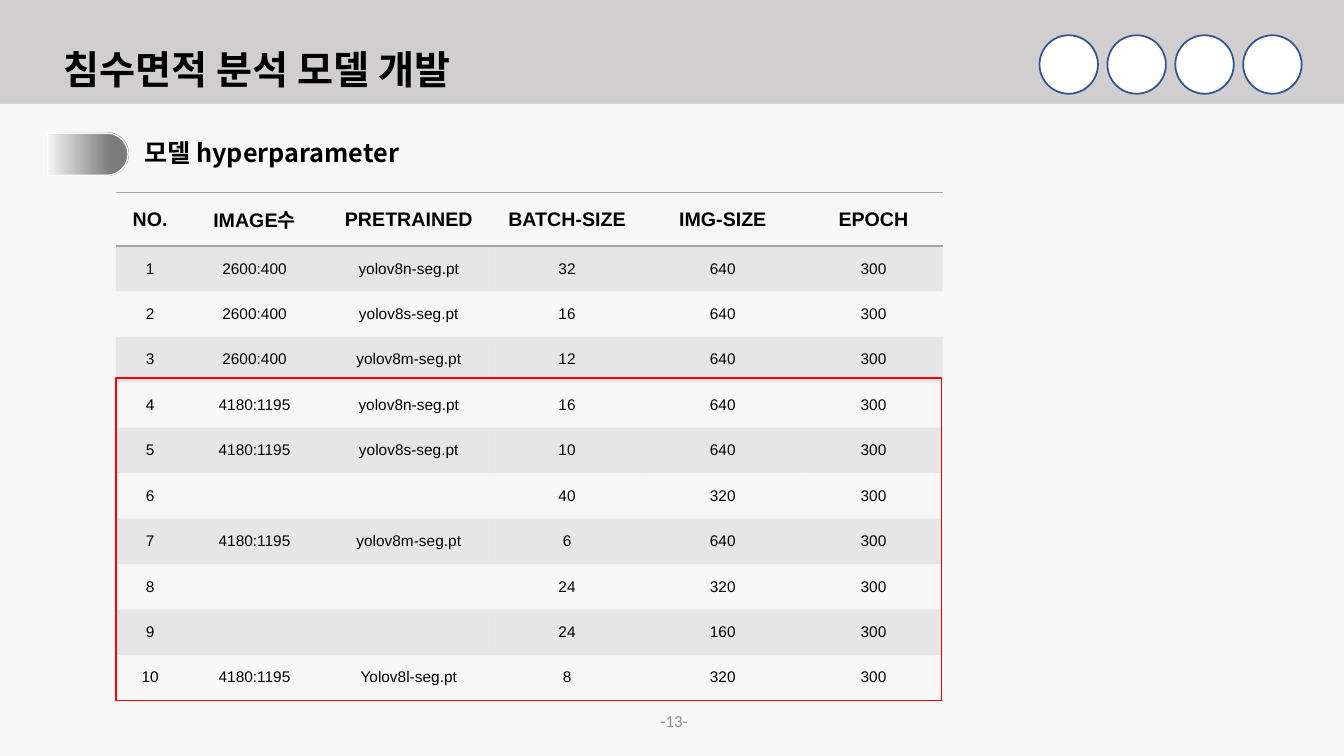
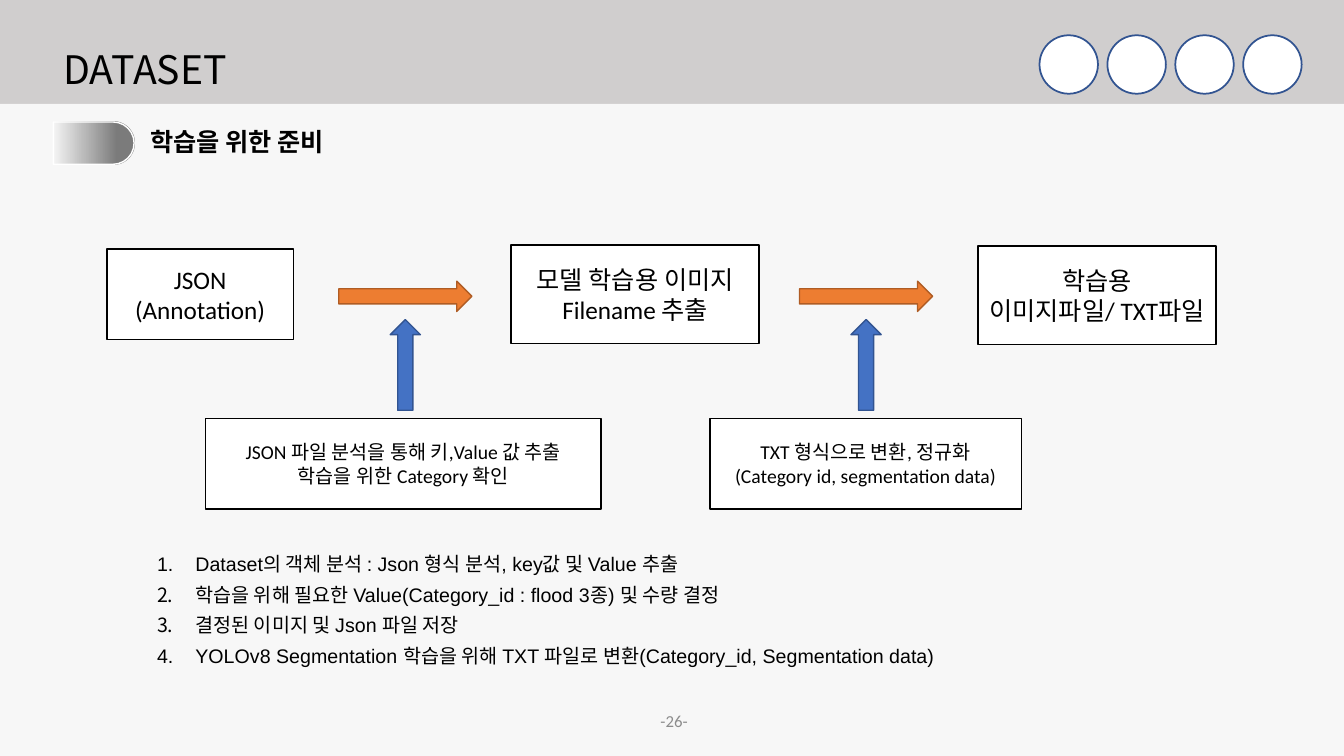
from lxml import etree
from pptx import Presentation
from pptx.dml.color import RGBColor
from pptx.enum import shapes, text
from pptx.oxml.ns import qn
from pptx.util import Inches, Pt

BAND_GREY = RGBColor(0xD0, 0xCE, 0xCE)
WHITE = RGBColor(0xFF, 0xFF, 0xFF)
BLACK = RGBColor(0, 0, 0)
NUMBER_GREY = RGBColor(0x8C, 0x8C, 0x8C)
TABLE_GREY = RGBColor(0xA5, 0xA5, 0xA5)
RED = RGBColor(0xFF, 0, 0)
BLUE = RGBColor(0x44, 0x72, 0xC4)
DARK_BLUE = RGBColor(0x32, 0x54, 0x91)
ORANGE = RGBColor(0xED, 0x7D, 0x31)
DARK_ORANGE = RGBColor(0xAF, 0x5C, 0x24)

KOREAN_FONT = "Noto Sans CJK KR"
SHAPE = shapes.MSO_SHAPE
ALIGN = text.PP_ALIGN
MIDDLE = text.MSO_ANCHOR.MIDDLE
PLAIN_TABLE_STYLE = "{2D5ABB26-0587-4C30-8999-92F81FD0307C}"


def write_text(frame, content, size=18, font="Calibri", color=BLACK, bold=False,
               align=ALIGN.LEFT, spacing=None, margin=None, anchor=None, numbered=False):
    """Fill a text frame, one paragraph per line of content."""
    frame.word_wrap = True
    frame.auto_size = text.MSO_AUTO_SIZE.NONE
    if anchor is not None:
        frame.vertical_anchor = anchor
    if margin is not None:
        frame.margin_left = frame.margin_right = Inches(margin)
        frame.margin_top = frame.margin_bottom = Inches(margin)
    for index, line in enumerate(content.split("\n")):
        paragraph = frame.add_paragraph() if index else frame.paragraphs[0]
        paragraph.text = line
        paragraph.alignment = align
        if spacing:
            paragraph.line_spacing = spacing
        if numbered:
            number_paragraph(paragraph)
        for run in paragraph.runs:
            run.font.size = Pt(size)
            run.font.name = font
            run.font.bold = bold
            run.font.color.rgb = color
            east_asian = etree.SubElement(run.font._element, qn("a:ea"))
            east_asian.set("typeface", KOREAN_FONT)


def number_paragraph(paragraph, indent=0.38):
    properties = paragraph._p.get_or_add_pPr()
    properties.set("marL", str(Inches(indent)))
    properties.set("indent", str(-Inches(indent)))
    etree.SubElement(properties, qn("a:buAutoNum")).set("type", "arabicPeriod")


def set_opacity(element, *percents):
    """Give the colours inside element, in order, these opacities."""
    for color, percent in zip(element.iter(qn("a:srgbClr")), percents):
        etree.SubElement(color, qn("a:alpha")).set("val", str(percent * 1000))


def add_border(cell, *sides):
    properties = cell._tc.get_or_add_tcPr()
    for position, side in enumerate(sides):
        line = etree.Element(qn(f"a:ln{side}"), w=str(Pt(1)))
        fill = etree.SubElement(line, qn("a:solidFill"))
        etree.SubElement(fill, qn("a:srgbClr")).set("val", str(TABLE_GREY))
        properties.insert(position, line)


class Deck:
    """Holds the shared style and the slide being drawn."""

    def __init__(self):
        self.presentation = Presentation()
        self.presentation.slide_width = Inches(13.33)
        self.presentation.slide_height = Inches(7.5)
        self.slide = None

    def add_slide(self, title, number, bold_title=False):
        self.slide = self.presentation.slides.add_slide(self.presentation.slide_layouts[5])
        background = self.slide.background.fill
        background.solid()
        background.fore_color.rgb = BAND_GREY
        circle_step = (12.33 - 10.31) / 3
        for index in range(4):
            self.add_shape(SHAPE.OVAL, 10.31 + index * circle_step, 0.35, 0.58, 0.58,
                           fill=WHITE, line=DARK_BLUE, line_width=1.25)
        body = self.add_shape(SHAPE.RECTANGLE, 0, 1.03, 13.33, 6.47, fill=WHITE)
        set_opacity(body._element.spPr, 85)
        placeholder = self.slide.shapes.title
        placeholder.left, placeholder.top = Inches(0.53), Inches(0.4)
        placeholder.width, placeholder.height = Inches(8.98), Inches(0.63)
        write_text(placeholder.text_frame, title, size=28, font=KOREAN_FONT,
                   bold=bold_title, spacing=0.9, anchor=MIDDLE)
        self.add_text(f"-{number}-", 6.25, 6.95, 0.67, 0.4, size=12, color=NUMBER_GREY,
                      align=ALIGN.RIGHT, anchor=MIDDLE)

    def add_shape(self, kind, left, top, width, height, fill=None, line=None,
                  line_width=1, rotation=0):
        shape = self.slide.shapes.add_shape(kind, Inches(left), Inches(top),
                                            Inches(width), Inches(height))
        shape.shadow.inherit = False
        shape.rotation = rotation
        if fill is None:
            shape.fill.background()
        else:
            shape.fill.solid()
            shape.fill.fore_color.rgb = fill
        if line is None:
            shape.line.fill.background()
        else:
            shape.line.color.rgb = line
            shape.line.width = Pt(line_width)
        return shape

    def add_text(self, content, left, top, width, height, **style):
        box = self.slide.shapes.add_textbox(Inches(left), Inches(top),
                                            Inches(width), Inches(height))
        write_text(box.text_frame, content, **style)

    def add_box(self, content, left, top, width, height, size=18):
        box = self.add_shape(SHAPE.RECTANGLE, left, top, width, height, WHITE, BLACK)
        write_text(box.text_frame, content, size=size, align=ALIGN.CENTER, anchor=MIDDLE)

    def add_heading(self, content, left, top, width):
        """Section heading with its gradient tab on the left."""
        self.add_text(content, left, top, width, 0.3, font=KOREAN_FONT, bold=True, margin=0)
        tab = self.add_shape(SHAPE.ROUND_2_SAME_RECTANGLE, left - 0.77, top - 0.23,
                             0.42, 0.8, line=WHITE, rotation=90)
        tab.adjustments[0], tab.adjustments[1] = 0.5, 0
        tab.fill.gradient()
        tab.fill.gradient_angle = 270
        for stop, position in zip(tab.fill.gradient_stops, (0.22, 1)):
            stop.color.rgb = BLACK
            stop.position = position
        set_opacity(tab._element.spPr, 50, 0)

    def add_step_arrows(self, left):
        """Arrow to the next step, and the arrow that feeds it from below."""
        self.add_shape(SHAPE.RIGHT_ARROW, left, 2.79, 1.32, 0.3, ORANGE, DARK_ORANGE)
        self.add_shape(SHAPE.RIGHT_ARROW, left + 0.21, 3.47, 0.9, 0.3, BLUE, DARK_BLUE,
                       rotation=270)

    def add_table(self, rows, left, top, column_widths, header_height, row_height):
        height = header_height + row_height * (len(rows) - 1)
        table = self.slide.shapes.add_table(
            len(rows), len(column_widths), Inches(left), Inches(top),
            Inches(sum(column_widths)), Inches(height)).table
        table.first_row = table.horz_banding = False
        table._tbl.tblPr.find(qn("a:tableStyleId")).text = PLAIN_TABLE_STYLE
        for column, width in zip(table.columns, column_widths):
            column.width = Inches(width)
        for row_index, values in enumerate(rows):
            is_header = row_index == 0
            table.rows[row_index].height = Inches(header_height if is_header else row_height)
            for column_index, value in enumerate(values):
                cell = table.cell(row_index, column_index)
                cell.vertical_anchor = MIDDLE
                if row_index % 2:
                    cell.fill.solid()
                    cell.fill.fore_color.rgb = TABLE_GREY
                    set_opacity(cell._tc.tcPr, 20)
                else:
                    cell.fill.background()
                if is_header:
                    add_border(cell, "T", "B")
                elif row_index == len(rows) - 1:
                    add_border(cell, "B")
                write_text(cell.text_frame, value, size=14 if is_header else 11,
                           font="Arial", bold=is_header, align=ALIGN.CENTER)


HYPERPARAMETERS = [
    ("NO.", "IMAGE수", "PRETRAINED", "BATCH-SIZE", "IMG-SIZE", "EPOCH"),
    ("1", "2600:400", "yolov8n-seg.pt", "32", "640", "300"),
    ("2", "2600:400", "yolov8s-seg.pt", "16", "640", "300"),
    ("3", "2600:400", "yolov8m-seg.pt", "12", "640", "300"),
    ("4", "4180:1195", "yolov8n-seg.pt", "16", "640", "300"),
    ("5", "4180:1195", "yolov8s-seg.pt", "10", "640", "300"),
    ("6", "", "", "40", "320", "300"),
    ("7", "4180:1195", "yolov8m-seg.pt", "6", "640", "300"),
    ("8", "", "", "24", "320", "300"),
    ("9", "", "", "24", "160", "300"),
    ("10", "4180:1195", "Yolov8l-seg.pt", "8", "320", "300"),
]

DATASET_STEPS = """Dataset의 객체 분석 : Json 형식 분석, key값 및 Value 추출
학습을 위해 필요한 Value(Category_id : flood 3종) 및 수량 결정
결정된 이미지 및 Json 파일 저장
YOLOv8 Segmentation 학습을 위해 TXT 파일로 변환(Category_id, Segmentation data)"""


def build_hyperparameters(deck):
    deck.add_slide("침수면적 분석 모델 개발", 13, bold_title=True)
    deck.add_heading("모델 hyperparameter", 1.43, 1.36, 4.52)
    deck.add_table(HYPERPARAMETERS, 1.15, 1.91, (0.68, 1.39, 1.67, 1.47, 1.62, 1.37),
                   header_height=0.53, row_height=4.51 / 10)
    deck.add_shape(SHAPE.RECTANGLE, 1.15, 3.75, 8.19, 3.2, line=RED)


def build_dataset(deck):
    deck.add_slide("DATASET", 26)
    deck.add_heading("학습을 위한 준비", 1.49, 1.25, 3.3)
    deck.add_box("JSON\v(Annotation)", 1.06, 2.47, 1.85, 0.9)
    deck.add_box("모델 학습용 이미지 Filename 추출", 5.07, 2.43, 2.46, 0.98)
    deck.add_box("학습용\n이미지파일/ TXT파일", 9.7, 2.44, 2.36, 0.98)
    for left in (3.36, 7.93):
        deck.add_step_arrows(left)
    deck.add_box("JSON 파일 분석을 통해 키,Value 값 추출\n학습을 위한 Category 확인",
                 2.04, 4.15, 3.92, 0.9, size=14)
    deck.add_box("TXT 형식으로 변환, 정규화\n(Category id, segmentation data)",
                 7.04, 4.15, 3.09, 0.9, size=14)
    deck.add_text(DATASET_STEPS, 1.46, 5.36, 8.54, 1.29, size=14, font="Arial",
                  spacing=1.3, numbered=True)


def main():
    deck = Deck()
    build_hyperparameters(deck)
    build_dataset(deck)
    deck.presentation.save("out.pptx")


if __name__ == "__main__":
    main()
